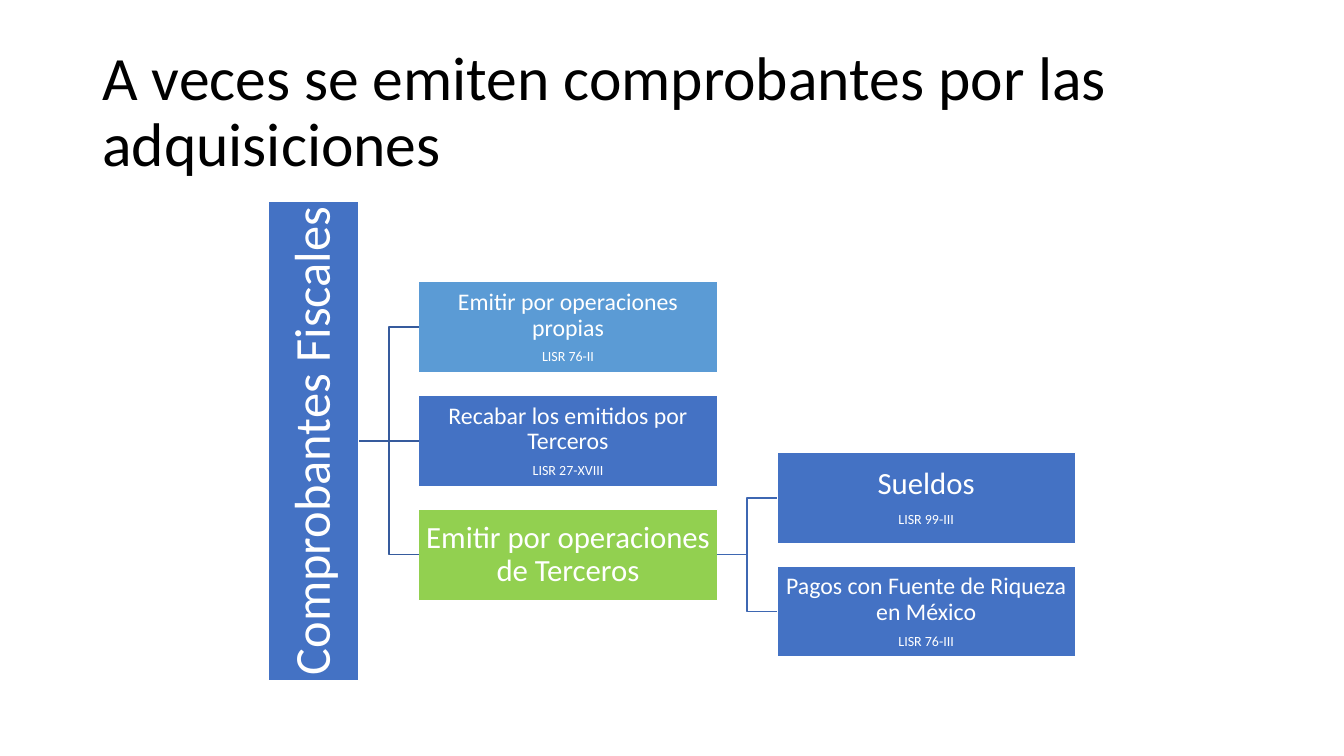
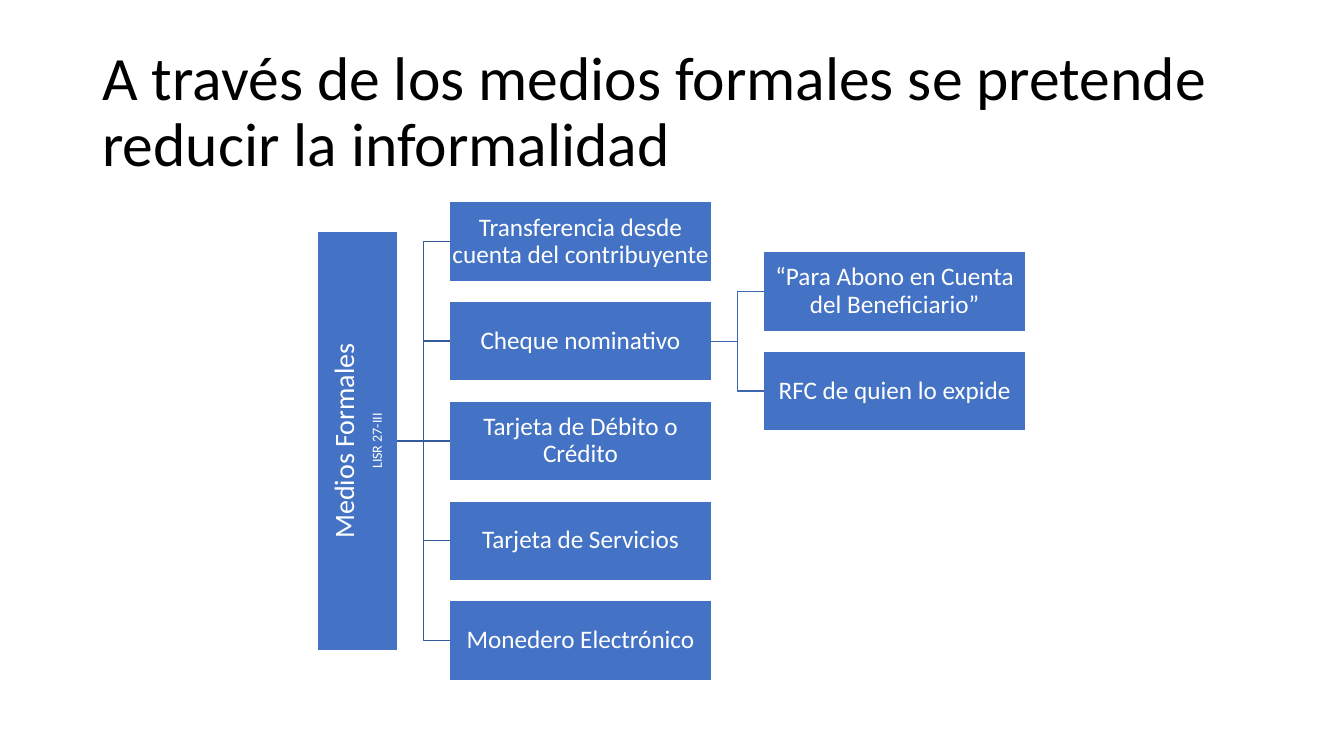
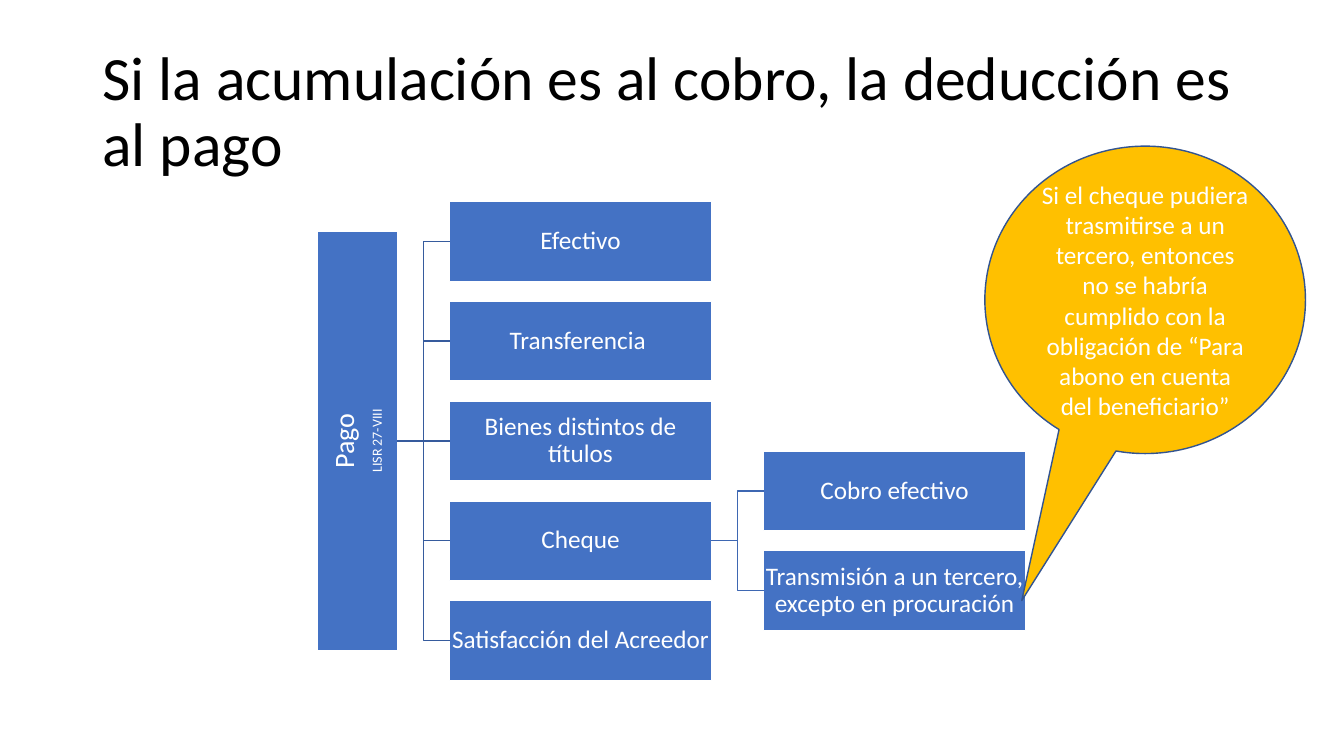
import pptx
import pptx.dml.color
import pptx.enum.shapes
import pptx.enum.text
import pptx.oxml
import pptx.util
import lxml.etree

Pt = pptx.util.Pt
SHAPES = pptx.enum.shapes.MSO_SHAPE
CONNECTORS = pptx.enum.shapes.MSO_CONNECTOR
ALIGN = pptx.enum.text.PP_ALIGN

FONT = "Calibri"
BLACK, WHITE = "000000", "FFFFFF"
BLUE, LIGHT_BLUE, GREEN, GOLD = "4472C4", "5B9BD5", "92D050", "FFC000"
ROOT_BRANCH, LEAF_BRANCH, CALLOUT_EDGE = "365B9D", "3E67B2", "325491"
MIDDLE = 315


def colour(value):
    return pptx.dml.color.RGBColor.from_string(value)


def write(shape, lines, sizes, color=WHITE, align=ALIGN.CENTER, spacing=0.9, gap=0.35, inset=None):
    frame = shape.text_frame
    frame.word_wrap = True
    frame.vertical_anchor = pptx.enum.text.MSO_ANCHOR.MIDDLE
    if inset is not None:
        frame.margin_left = frame.margin_right = Pt(inset)
        frame.margin_top = frame.margin_bottom = Pt(inset)
    frame.text = "\n".join(lines)
    for paragraph, size in zip(frame.paragraphs, sizes):
        paragraph.alignment = align
        paragraph.line_spacing = spacing
        paragraph.space_after = Pt(gap * size)
        paragraph.font.name = FONT
        paragraph.font.size = Pt(size)
        paragraph.font.color.rgb = colour(color)


trees = [
    {
        "title": "A veces se emiten comprobantes por las adquisiciones",
        "left": 191.5, "unit": 65, "parent": 2,
        "root": (["Comprobantes Fiscales"], 36, BLUE),
        "branches": [
            (["Emitir por operaciones propias", "LISR 76-II"], 17, LIGHT_BLUE),
            (["Recabar los emitidos por Terceros", "LISR 27-XVIII"], 17, BLUE),
            (["Emitir por operaciones de Terceros"], 22, GREEN),
        ],
        "leaves": [
            (["Sueldos", "LISR 99-III"], 22, BLUE),
            (["Pagos con Fuente de Riqueza en México", "LISR 76-III"], 17, BLUE),
        ],
    },
    {
        "title": "A través de los medios formales se pretende reducir la informalidad",
        "left": 226.8, "unit": 57, "parent": 1,
        "root": (["Medios Formales", "LISR 27-III"], 20, BLUE),
        "branches": [([label], 18, BLUE) for label in (
            "Transferencia desde cuenta del contribuyente",
            "Cheque nominativo",
            "Tarjeta de Débito o Crédito",
            "Tarjeta de Servicios",
            "Monedero Electrónico",
        )],
        "leaves": [([label], 18, BLUE) for label in (
            "“Para Abono en Cuenta del Beneficiario”",
            "RFC de quien lo expide",
        )],
    },
    {
        "title": "Si la acumulación es al cobro, la deducción es al pago",
        "left": 226.8, "unit": 57, "parent": 3,
        "root": (["Pago", "LISR 27-VIII"], 20, BLUE),
        "branches": [([label], 18, BLUE) for label in (
            "Efectivo",
            "Transferencia ",
            "Bienes distintos de títulos",
            "Cheque",
            "Satisfacción del Acreedor",
        )],
        "leaves": [([label], 18, BLUE) for label in (
            "Cobro efectivo",
            "Transmisión a un tercero, excepto en procuración",
        )],
    },
]

deck = pptx.Presentation()
deck.slide_width, deck.slide_height = Pt(960), Pt(540)

for tree in trees:
    slide = deck.slides.add_slide(deck.slide_layouts[6])
    title = slide.shapes.add_textbox(Pt(66), Pt(28.8), Pt(828), Pt(104.4))
    write(title, [tree["title"]], [44], color=BLACK, align=ALIGN.LEFT, gap=0)

    unit = tree["unit"]
    width, column_gap, pitch = 3.28 * unit, 0.656 * unit, 1.25 * unit
    branch_left = tree["left"] + unit + column_gap
    leaf_left = branch_left + width + column_gap
    parent_offset = tree["parent"] - (len(tree["branches"]) - 1) / 2
    parent_middle = MIDDLE + parent_offset * pitch

    levels = [
        ([tree["root"]], tree["left"], MIDDLE, unit, 5.26 * unit),
        (tree["branches"], branch_left, MIDDLE, width, unit),
        (tree["leaves"], leaf_left, parent_middle, width, unit),
    ]
    drawn = []
    for nodes, left, middle, node_width, node_height in levels:
        boxes = []
        for position, (lines, size, fill) in enumerate(nodes):
            center = middle + (position - (len(nodes) - 1) / 2) * pitch
            box = slide.shapes.add_shape(
                SHAPES.RECTANGLE, Pt(left), Pt(center - node_height / 2), Pt(node_width), Pt(node_height))
            box.shadow.inherit = False
            box.fill.solid()
            box.fill.fore_color.rgb = colour(fill)
            box.line.color.rgb = colour(WHITE)
            box.line.width = Pt(1)
            write(box, lines, [size, 10], inset=1)
            boxes.append(box)
        drawn.append(boxes)

    (root,), branches, leaves = drawn
    root.text_frame._txBody.bodyPr.set("vert", "vert270")

    for parent, children, line_color in (
        (root, branches, ROOT_BRANCH),
        (branches[tree["parent"]], leaves, LEAF_BRANCH),
    ):
        parent_center = parent.top + parent.height // 2
        for child in children:
            level = abs(child.top + child.height // 2 - parent_center) < Pt(1)
            branch = slide.shapes.add_connector(
                CONNECTORS.STRAIGHT if level else CONNECTORS.ELBOW, 0, 0, 0, 0)
            branch.begin_connect(parent, 3)
            branch.end_connect(child, 1)
            branch.line.color.rgb = colour(line_color)
            branch.line.width = Pt(1)
            lxml.etree.SubElement(branch._element.spPr, pptx.oxml.ns.qn("a:effectLst"))

callout = slide.shapes.add_shape(SHAPES.OVAL_CALLOUT, Pt(703.5), Pt(104.4), Pt(229), Pt(219.6))
callout.adjustments[0], callout.adjustments[1] = -0.385, 0.978
callout.shadow.inherit = False
callout.fill.solid()
callout.fill.fore_color.rgb = colour(GOLD)
callout.line.color.rgb = colour(CALLOUT_EDGE)
callout.line.width = Pt(1)
write(
    callout,
    ["Si el cheque pudiera trasmitirse a un tercero, entonces no se habría cumplido "
     "con la obligación de “Para abono en cuenta del beneficiario”"],
    [18], spacing=1.0, gap=0)

deck.save("out.pptx")
